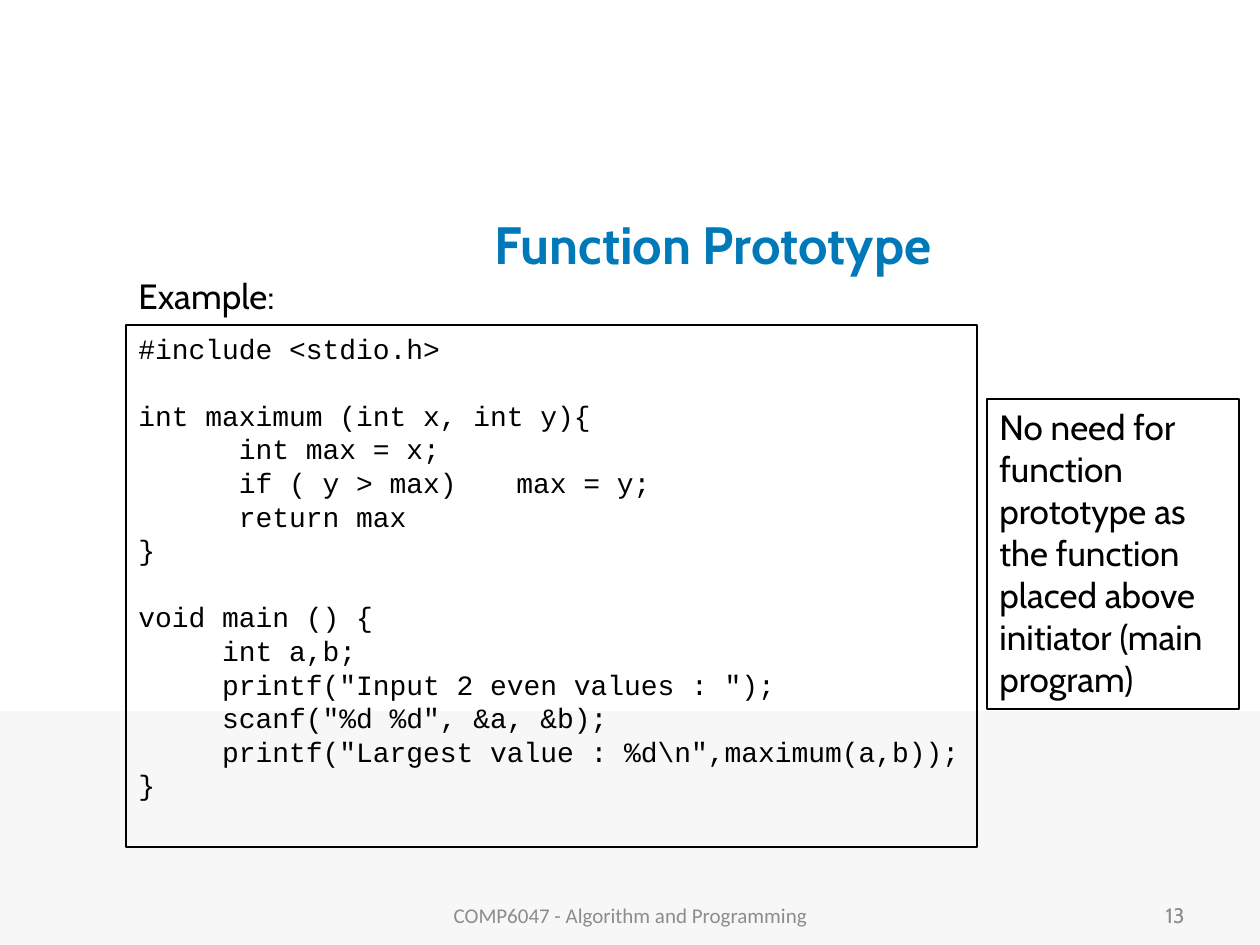
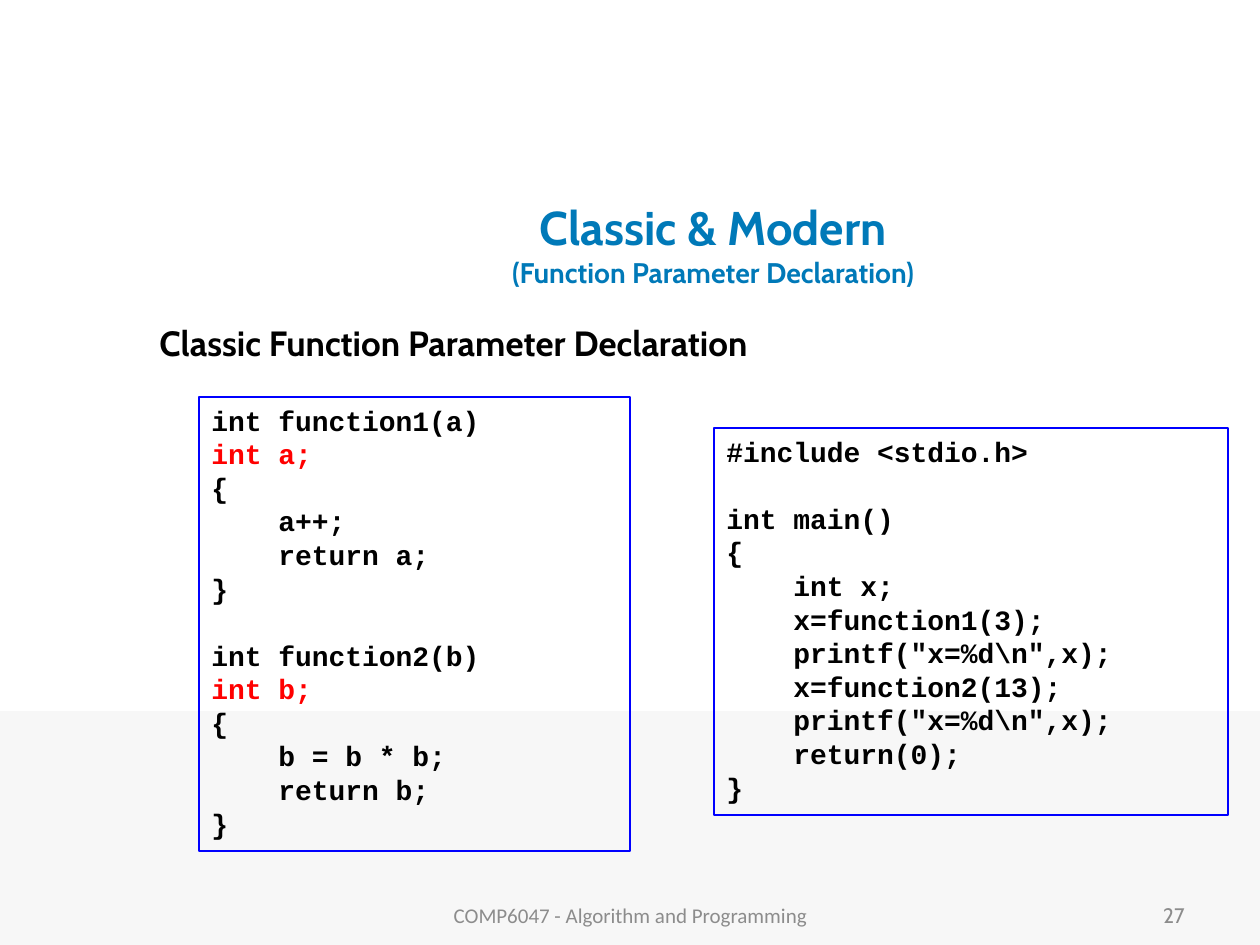
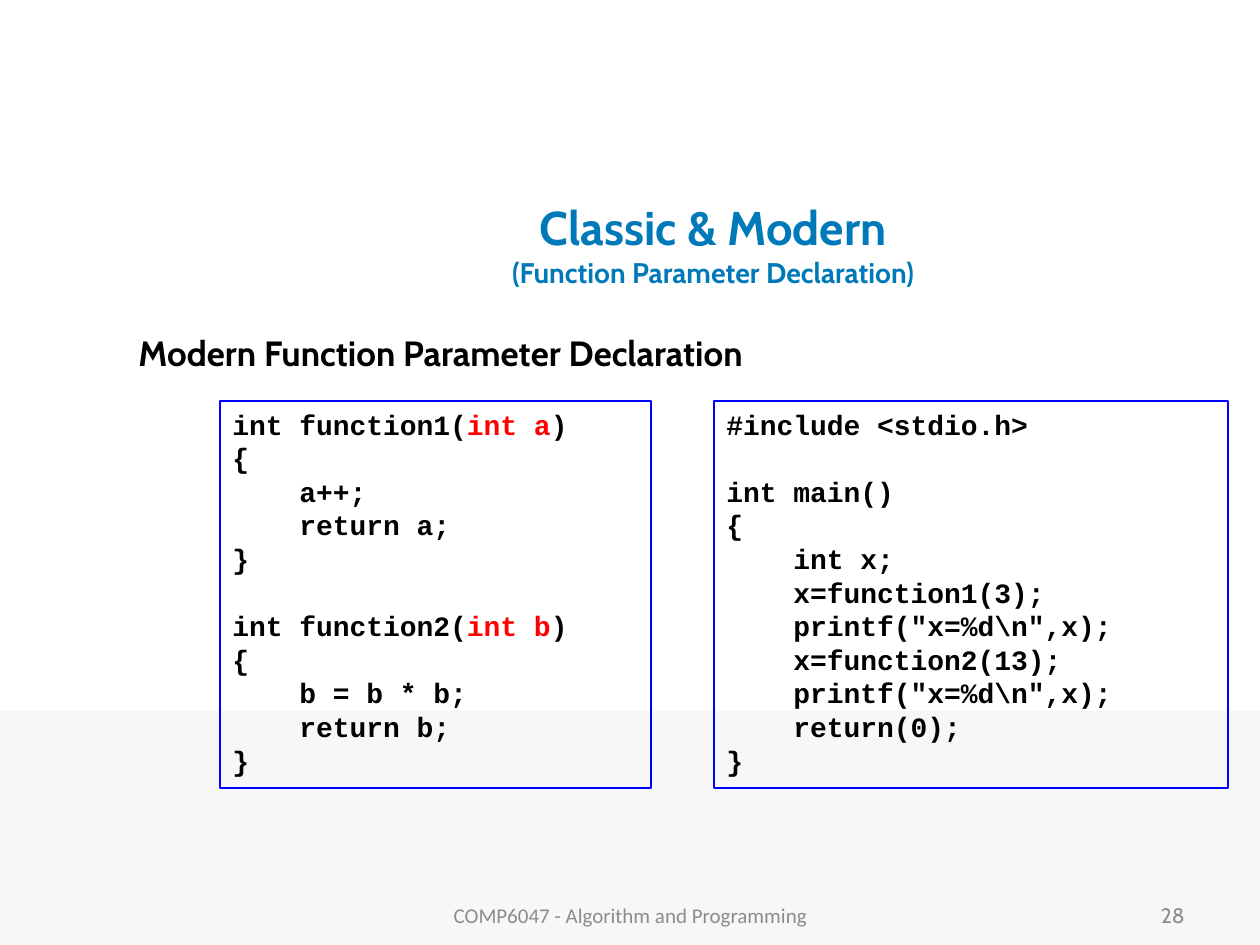
from dataclasses import dataclass

from pptx import Presentation
from pptx.dml.color import RGBColor
from pptx.enum.shapes import MSO_SHAPE as SHAPE
from pptx.enum.text import MSO_ANCHOR as ANCHOR, PP_ALIGN as ALIGN
from pptx.util import Emu, Pt

PX = 914400 / 126
WIDTH, HEIGHT = 1260, 945
BLUE, BLACK, RED, GREY, BAND, FRAME = (
    "0079B8", "000000", "FF0000", "8C8C8C", "F7F7F7", "0000FF")
SANS, FOOTER_FONT, MONO = "Cabin", "Calibri", "Courier New"
CODE_LINE = 19.2
FOOTER = "COMP6047 - Algorithm and Programming"


@dataclass
class Box:
    x: int
    y: int
    w: int
    h: int


@dataclass
class Style:
    size: float
    color: str = BLACK
    font: str = SANS
    bold: bool = False
    align: ALIGN = ALIGN.LEFT
    spacing: float | None = None


@dataclass
class Listing:
    box: Box
    code: str
    bold: bool = True
    line: str = FRAME


@dataclass
class Page:
    number: int
    title: list[tuple[str, float]]
    heading: str
    heading_box: Box
    heading_style: Style
    listings: list[Listing]


TITLE_BOX = Box(242, 189, 942, 110)
NUMBER_BOX = Box(903, 890, 294, 50)
FOOTER_BOX = Box(431, 890, 399, 50)
NOTE_BOX = Box(987, 399, 252, 310)
NOTE = ("No need for function prototype as the function "
        "placed above initiator (main program)")
BOLD_HEADING = Style(20, bold=True)
DECLARATION_TITLE = [("Classic & Modern", 27),
                     ("(Function Parameter Declaration)", 16.2)]

PROTOTYPE_CODE = r"""#include <stdio.h>

int maximum (int x, int y){
      int max = x;
      if ( y > max) {tab}max = y;
      return max
}

void main () {
     int a,b;
     printf("Input 2 even values : ");
     scanf("%d %d", &a, &b);
     printf("Largest value : %d\n",maximum(a,b));
}""".replace("{tab}", "\t")

MAIN_CODE = r"""#include <stdio.h>

int main()
{
    int x;
    x=function1(3);
    printf("x=%d\n",x);
    x=function2(13);
    printf("x=%d\n",x);
    return(0);
}"""

CLASSIC_CODE = """int function1(a)
|int a;|
{
    a++;
    return a;
}

int function2(b)
|int b;|
{
    b = b * b;
    return b;
}"""

MODERN_CODE = """int function1(|int a|)
{
    a++;
    return a;
}

int function2(|int b|)
{
    b = b * b;
    return b;
}"""

PAGES = [
    Page(13, [("Function Prototype", 30)], "Example:",
         Box(126, 273, 1134, 50), Style(20, spacing=0.9),
         [Listing(Box(126, 325, 851, 522), PROTOTYPE_CODE, False, BLACK)]),
    Page(27, DECLARATION_TITLE, "Classic Function Parameter Declaration",
         Box(147, 315, 1100, 54), BOLD_HEADING,
         [Listing(Box(714, 428, 514, 387), MAIN_CODE),
          Listing(Box(199, 397, 431, 454), CLASSIC_CODE)]),
    Page(28, DECLARATION_TITLE, "Modern Function Parameter Declaration",
         Box(126, 325, 1100, 54), BOLD_HEADING,
         [Listing(Box(714, 401, 514, 387), MAIN_CODE),
          Listing(Box(220, 401, 431, 387), MODERN_CODE)]),
]


def px(n: int) -> Emu:
    return Emu(round(n * PX))


def rgb(color: str) -> RGBColor:
    return RGBColor.from_string(color)


def place(box: Box) -> list[Emu]:
    return [px(n) for n in (box.x, box.y, box.w, box.h)]


def add_rect(slide, box: Box, fill: str | None = None, line: str | None = None):
    sp = slide.shapes.add_shape(SHAPE.RECTANGLE, *place(box))
    sp.shadow.inherit = False
    if fill:
        sp.fill.solid()
        sp.fill.fore_color.rgb = rgb(fill)
    else:
        sp.fill.background()
    if line:
        sp.line.color.rgb = rgb(line)
        sp.line.width = Pt(0.75)
    else:
        sp.line.fill.background()
    return sp


def style_paragraph(p, style: Style) -> None:
    p.alignment = style.align
    if style.spacing:
        p.line_spacing = style.spacing
    p.font.size = Pt(style.size)
    p.font.name = style.font
    p.font.bold = style.bold
    p.font.color.rgb = rgb(style.color)


def write(sp, text: str, style: Style, anchor: ANCHOR = ANCHOR.TOP):
    tf = sp.text_frame
    tf.word_wrap = True
    tf.vertical_anchor = anchor
    p = tf.paragraphs[0]
    style_paragraph(p, style)
    if text:
        p.add_run().text = text
    return p


def add_text(slide, box: Box, text: str, style: Style,
             anchor: ANCHOR = ANCHOR.TOP):
    return write(slide.shapes.add_textbox(*place(box)), text, style, anchor)


def add_title(slide, lines: list[tuple[str, float]]) -> None:
    style = Style(lines[0][1], BLUE, bold=True, align=ALIGN.CENTER)
    p = add_text(slide, TITLE_BOX, "", style, ANCHOR.MIDDLE)
    for i, (text, size) in enumerate(lines):
        if i:
            p.add_line_break()
        r = p.add_run()
        r.text = text
        r.font.size = Pt(size)


def add_listing(slide, listing: Listing) -> None:
    tf = add_rect(slide, listing.box, line=listing.line).text_frame
    tf.word_wrap = True
    tf.vertical_anchor = ANCHOR.TOP
    style = Style(16, font=MONO, bold=listing.bold)
    for i, block in enumerate(listing.code.split("\n\n")):
        for j, text in enumerate(block.split("\n")):
            p = tf.add_paragraph() if i or j else tf.paragraphs[0]
            style_paragraph(p, style)
            if i and not j:
                p.space_before = Pt(CODE_LINE)
            for k, part in enumerate(text.split("|")):
                if part:
                    r = p.add_run()
                    r.text = part
                    if k % 2:
                        r.font.color.rgb = rgb(RED)


def add_page(prs, page: Page):
    slide = prs.slides.add_slide(prs.slide_layouts[6])
    add_rect(slide, Box(0, 711, WIDTH, HEIGHT - 711), fill=BAND)
    add_title(slide, page.title)
    add_text(slide, NUMBER_BOX, str(page.number),
             Style(12, GREY, align=ALIGN.RIGHT), ANCHOR.MIDDLE)
    add_text(slide, page.heading_box, page.heading, page.heading_style)
    for listing in page.listings:
        add_listing(slide, listing)
    add_text(slide, FOOTER_BOX, FOOTER,
             Style(12, GREY, FOOTER_FONT, align=ALIGN.CENTER), ANCHOR.MIDDLE)
    return slide


def main() -> None:
    prs = Presentation()
    prs.slide_width, prs.slide_height = px(WIDTH), px(HEIGHT)
    prototype, *_ = [add_page(prs, page) for page in PAGES]
    write(add_rect(prototype, NOTE_BOX, line=BLACK), NOTE, Style(20))
    prs.save("out.pptx")


if __name__ == "__main__":
    main()
